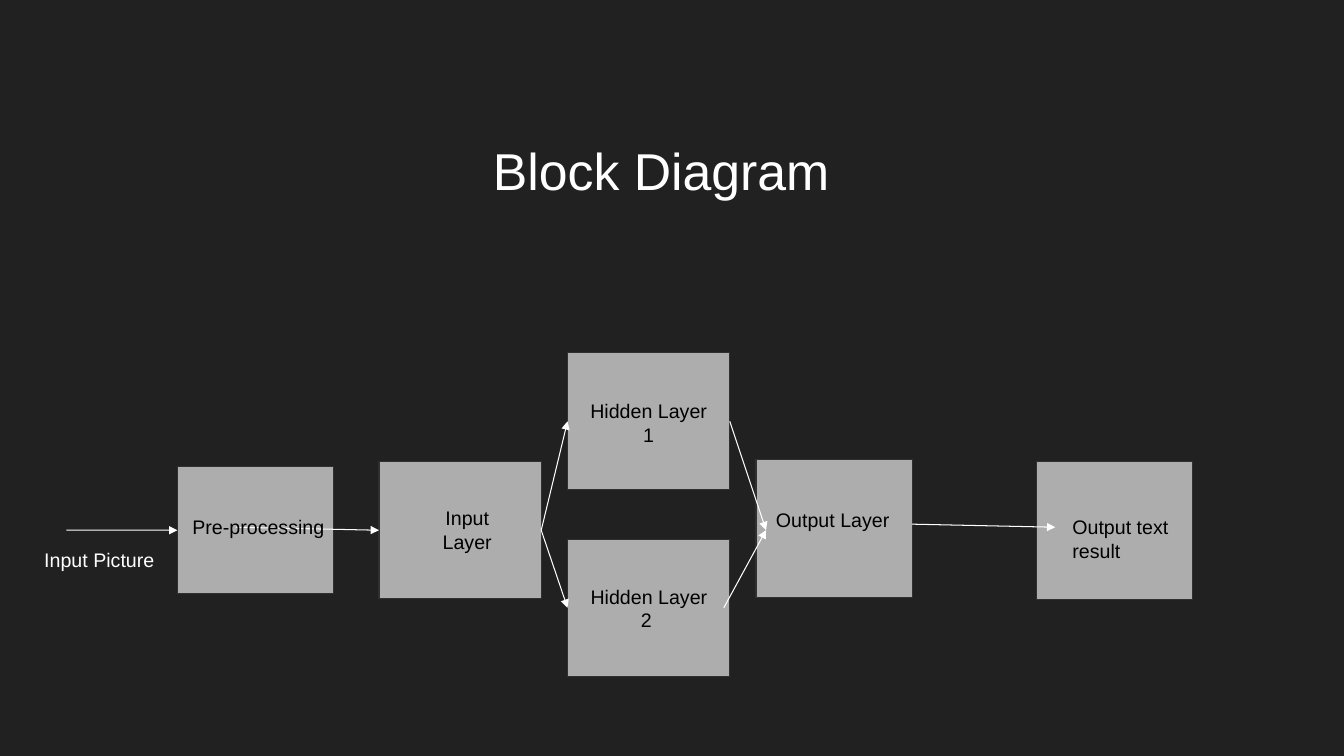
"""Build the Block Diagram slide of a text recognition network."""
import dataclasses

import lxml.etree
import pptx
import pptx.dml.color
import pptx.enum.shapes
import pptx.enum.text
import pptx.oxml
import pptx.oxml.ns
import pptx.util

Pt = pptx.util.Pt
ALIGN = pptx.enum.text.PP_ALIGN
ANCHOR = pptx.enum.text.MSO_ANCHOR


@dataclasses.dataclass(frozen=True)
class Theme:
    background: str = "212121"
    block: str = "ADADAD"
    border: str = "303030"
    light: str = "FFFFFF"
    dark: str = "000000"
    font: str = "Arial"
    title_size: int = 37
    label_size: int = 14
    line_width: float = 0.75
    inset: float = 7.2


THEME = Theme()
TITLE = ("Block Diagram", (64.8, 82.8, 815, 76.3))
BLOCKS = {
    "pre-processing": (126.7, 333.4, 111.6, 90.7),
    "input": (270.7, 329.8, 115.9, 97.9),
    "hidden 1": (405.4, 252, 115.9, 97.9),
    "hidden 2": (405.4, 385.2, 115.9, 97.9),
    "output": (540, 328.3, 111.6, 98.6),
    "result": (740.2, 329.4, 111.6, 98.6),
}
LABELS = [
    ("Input Picture", (24.5, 384.5, 102.2, 46.8), ALIGN.LEFT, THEME.light),
    ("Pre-processing", (130.3, 360.7, 111.6, 62.6), ALIGN.LEFT, THEME.dark),
    ("Input Layer", (297.4, 354.2, 72.7, 46.8), ALIGN.CENTER, THEME.dark),
    ("Hidden Layer\v1", (405.4, 277.9, 115.9, 46.8), ALIGN.CENTER, THEME.dark),
    ("Hidden Layer\v\t2", (414.7, 410.4, 102.2, 46.8), ALIGN.LEFT, THEME.dark),
    ("Output Layer", (547.2, 355.7, 141.8, 46.8), ALIGN.LEFT, THEME.dark),
    ("Output text result", (758.9, 360.7, 111.6, 62.6), ALIGN.LEFT, THEME.dark),
]


def left_of(name):
    left, top, width, height = BLOCKS[name]
    return left, top + height / 2


def right_of(name):
    left, top, width, height = BLOCKS[name]
    return left + width, top + height / 2


OUTPUT_ENTRY = (547.2, 378.7)
ARROWS = [
    ((47.5, 378.7), left_of("pre-processing")),
    ((168.5, 376.6), left_of("input")),
    (right_of("input"), left_of("hidden 1")),
    (right_of("input"), left_of("hidden 2")),
    (right_of("hidden 1"), OUTPUT_ENTRY),
    ((517, 434.2), OUTPUT_ENTRY),
    ((651.6, 374.4), (753.8, 376.6)),
]


def color(code):
    return pptx.dml.color.RGBColor.from_string(code)


def points(values):
    return [Pt(value) for value in values]


def write(frame, text, align, size, code):
    frame.word_wrap = True
    frame.text = text
    for para in frame.paragraphs:
        para.alignment = align
        para.font.name = THEME.font
        para.font.size = Pt(size)
        para.font.color.rgb = color(code)


def add_title(page):
    text, place = TITLE
    title = page.shapes.title
    title.left, title.top, title.width, title.height = points(place)
    frame = title.text_frame
    write(frame, text, ALIGN.CENTER, THEME.title_size, THEME.light)
    frame.vertical_anchor = ANCHOR.MIDDLE
    frame.auto_size = pptx.enum.text.MSO_AUTO_SIZE.NONE
    span = frame.paragraphs[0].runs[0]
    span.font._element.append(pptx.oxml.parse_xml(
        f'<a:effectLst {pptx.oxml.ns.nsdecls("a")}>'
        '<a:outerShdw blurRad="38100" dist="38100" dir="2700000">'
        f'<a:srgbClr val="{THEME.dark}"><a:alpha val="50000"/></a:srgbClr>'
        '</a:outerShdw></a:effectLst>'))


def add_block(page, place):
    block = page.shapes.add_shape(
        pptx.enum.shapes.MSO_SHAPE.RECTANGLE, *points(place))
    block.shadow.inherit = False
    block.fill.solid()
    block.fill.fore_color.rgb = color(THEME.block)
    block.line.color.rgb = color(THEME.border)
    block.line.width = Pt(THEME.line_width)


def add_arrow(page, start, end):
    arrow = page.shapes.add_connector(
        pptx.enum.shapes.MSO_CONNECTOR.STRAIGHT, *points(start + end))
    arrow.line.color.rgb = color(THEME.light)
    arrow.line.width = Pt(THEME.line_width)
    qn = pptx.oxml.ns.qn
    lxml.etree.SubElement(
        arrow.line._get_or_add_ln(), qn("a:tailEnd"), type="triangle")
    lxml.etree.SubElement(arrow._element.spPr, qn("a:effectLst"))


def add_label(page, text, place, align, code):
    box = page.shapes.add_textbox(*points(place))
    frame = box.text_frame
    frame.margin_left = frame.margin_right = Pt(THEME.inset)
    frame.margin_top = frame.margin_bottom = Pt(THEME.inset)
    write(frame, text, align, THEME.label_size, code)


deck = pptx.Presentation()
deck.slide_width, deck.slide_height = points((960, 540))
page = deck.slides.add_slide(deck.slide_layouts.get_by_name("Title Only"))
page.background.fill.solid()
page.background.fill.fore_color.rgb = color(THEME.background)
add_title(page)
for place in BLOCKS.values():
    add_block(page, place)
for start, end in ARROWS:
    add_arrow(page, start, end)
for label in LABELS:
    add_label(page, *label)
deck.save("out.pptx")
